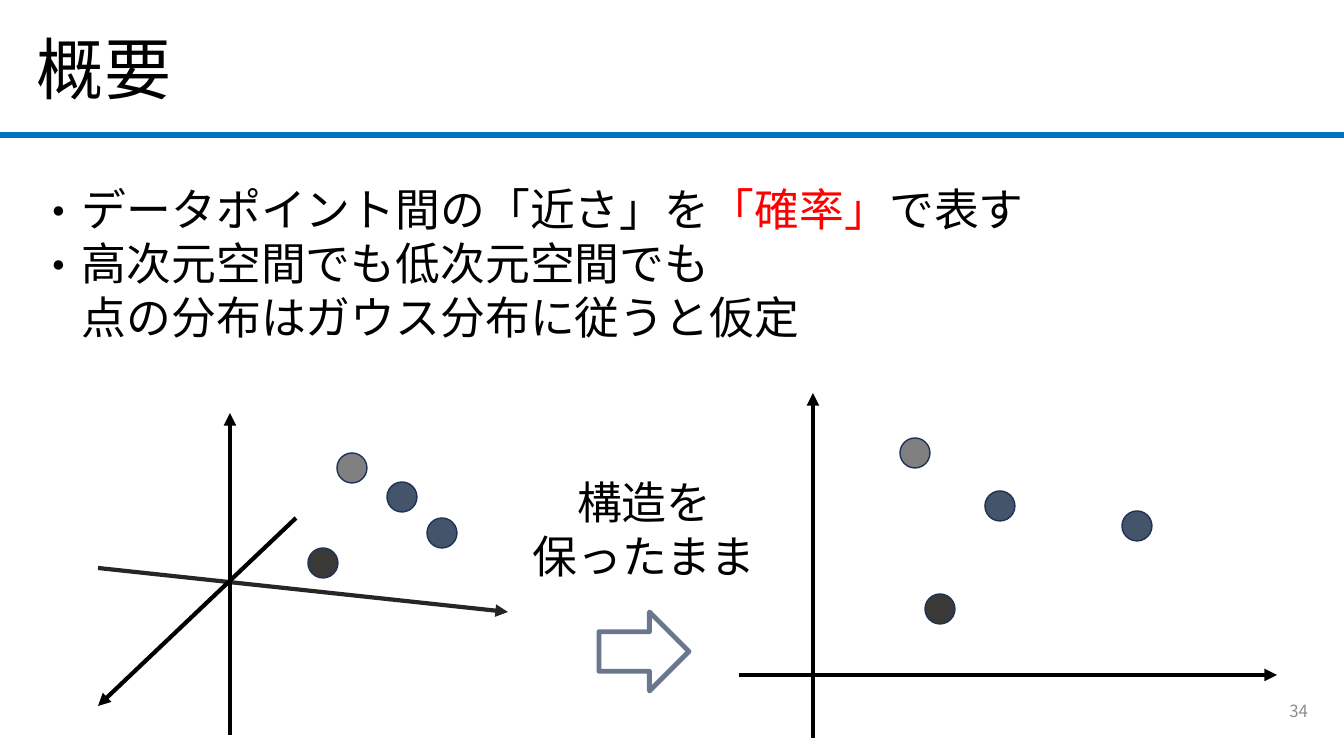
from lxml import etree
from pptx import Presentation
from pptx import util as u
from pptx.dml.color import RGBColor
from pptx.enum import shapes, text
from pptx.oxml.ns import qn

PX = 914400 / 100.8
FONT = "Noto Sans CJK JP"
BLACK, BLUE, RED, GREY = "000000", "0070C0", "FF0000", "8C8C8C"
OUTLINE = "1E3256"
DARK_DOT, SLATE_DOT, GREY_DOT = "3B3838", "44546A", "808080"
DOT_SIZE = 30
BULLET_INDENT = 45


def px(length):
    return u.Emu(round(length * PX))


def color(hex_value):
    return RGBColor.from_string(hex_value)


def add_line(parent, start, end, hex_value, width=3, arrow=True):
    line = parent.add_connector(
        shapes.MSO_CONNECTOR.STRAIGHT, *(px(value) for value in (*start, *end)))
    line.line.color.rgb = color(hex_value)
    line.line.width = u.Pt(width)
    if arrow:
        etree.SubElement(line.line._get_or_add_ln(), qn("a:tailEnd"), type="triangle")
    etree.SubElement(line._element.spPr, qn("a:effectLst"))


def add_text(slide, box, paragraphs, size, align=text.PP_ALIGN.LEFT, wrap=False):
    """Each paragraph is a list of (wording, colour) runs."""
    shape = slide.shapes.add_textbox(*(px(value) for value in box))
    frame = shape.text_frame
    frame.word_wrap = wrap
    frame.auto_size = text.MSO_AUTO_SIZE.NONE if wrap else text.MSO_AUTO_SIZE.SHAPE_TO_FIT_TEXT
    for index, runs in enumerate(paragraphs):
        paragraph = frame.add_paragraph() if index else frame.paragraphs[0]
        paragraph.alignment = align
        for wording, hex_value in runs:
            run = paragraph.add_run()
            run.text = wording
            run.font.size = u.Pt(size)
            run.font.name = FONT
            run.font.color.rgb = color(hex_value)
            etree.SubElement(run._r.get_or_add_rPr(), qn("a:ea"), typeface=FONT)
    return frame


def add_plot(slide, left, top, axes, dots):
    """Axes and dots are placed relative to the plot's left and top."""
    plot = slide.shapes.add_group_shape().shapes
    for start, end, hex_value in axes:
        add_line(plot, (left + start[0], top + start[1]),
                 (left + end[0], top + end[1]), hex_value)
    for x, y, hex_value in dots:
        dot = plot.add_shape(shapes.MSO_SHAPE.OVAL, px(left + x), px(top + y),
                             px(DOT_SIZE), px(DOT_SIZE))
        dot.shadow.inherit = False
        dot.fill.solid()
        dot.fill.fore_color.rgb = color(hex_value)
        dot.line.color.rgb = color(OUTLINE)
        dot.line.width = u.Pt(1)


def add_header(slide, left, top, width):
    add_line(slide.shapes, (0, 135), (width, 135), BLUE, 3.75, arrow=False)
    add_text(slide, (left, top, 156, 92), [[("概要", BLACK)]], 48)


def add_points(slide, left, top):
    frame = add_text(slide, (left, top, 1016, 201), [
        [("データポイント間の「近さ」を", BLACK), ("「確率」", RED), ("で表す", BLACK)],
        [("高次元空間でも低次元空間でも", BLACK)],
        [("点の分布はガウス分布に従うと仮定", BLACK)],
    ], 32)
    frame.paragraphs[0].line_spacing = 1.5
    for paragraph, bulleted in zip(frame.paragraphs, (True, True, False)):
        properties = paragraph._p.get_or_add_pPr()
        properties.set("marL", str(px(BULLET_INDENT)))
        properties.set("indent", str(-px(BULLET_INDENT) if bulleted else 0))
        if bulleted:
            etree.SubElement(properties, qn("a:buFont"), typeface=FONT)
            etree.SubElement(properties, qn("a:buChar"), char="・")


def add_transition(slide, left, top):
    arrow = slide.shapes.add_shape(shapes.MSO_SHAPE.RIGHT_ARROW, px(left + 78),
                                   px(top + 142), px(90), px(79))
    arrow.shadow.inherit = False
    arrow.fill.background()
    arrow.line.color.rgb = color(OUTLINE)
    arrow.line.width = u.Pt(3.5)
    outline_color = arrow.line._get_or_add_ln().find(".//" + qn("a:srgbClr"))
    etree.SubElement(outline_color, qn("a:alpha"), val="66000")
    add_text(slide, (left, top, 247, 119),
             [[("構造を", BLACK)], [("保ったまま", BLACK)]], 32, text.PP_ALIGN.CENTER)


def add_page_number(slide, left, top):
    frame = add_text(slide, (left, top, 71, 40), [[("34", GREY)]], 12,
                     text.PP_ALIGN.RIGHT, wrap=True)
    frame.vertical_anchor = text.MSO_ANCHOR.MIDDLE


def main():
    presentation = Presentation()
    presentation.slide_width, presentation.slide_height = px(1344), px(756)
    slide = presentation.slides.add_slide(presentation.slide_layouts[6])

    add_header(slide, 27, 22, 1344)
    add_points(slide, 27, 150)
    # High-dimensional space
    add_plot(slide, 98, 413,
             [((0, 155), (410, 199), "262626"),
              ((198, 105), (0, 293), BLACK),
              ((132, 322), (132, 0), BLACK)],
             [(210, 135, DARK_DOT), (289, 69, SLATE_DOT),
              (239, 40, GREY_DOT), (329, 105, SLATE_DOT)])
    # Low-dimensional space
    add_plot(slide, 739, 393,
             [((74, 345), (74, 0), BLACK),
              ((0, 282), (538, 282), BLACK)],
             [(246, 98, SLATE_DOT), (161, 45, GREY_DOT),
              (383, 118, SLATE_DOT), (186, 201, DARK_DOT)])
    add_transition(slide, 521, 470)
    add_page_number(slide, 1247, 691)
    presentation.save("out.pptx")


if __name__ == "__main__":
    main()
